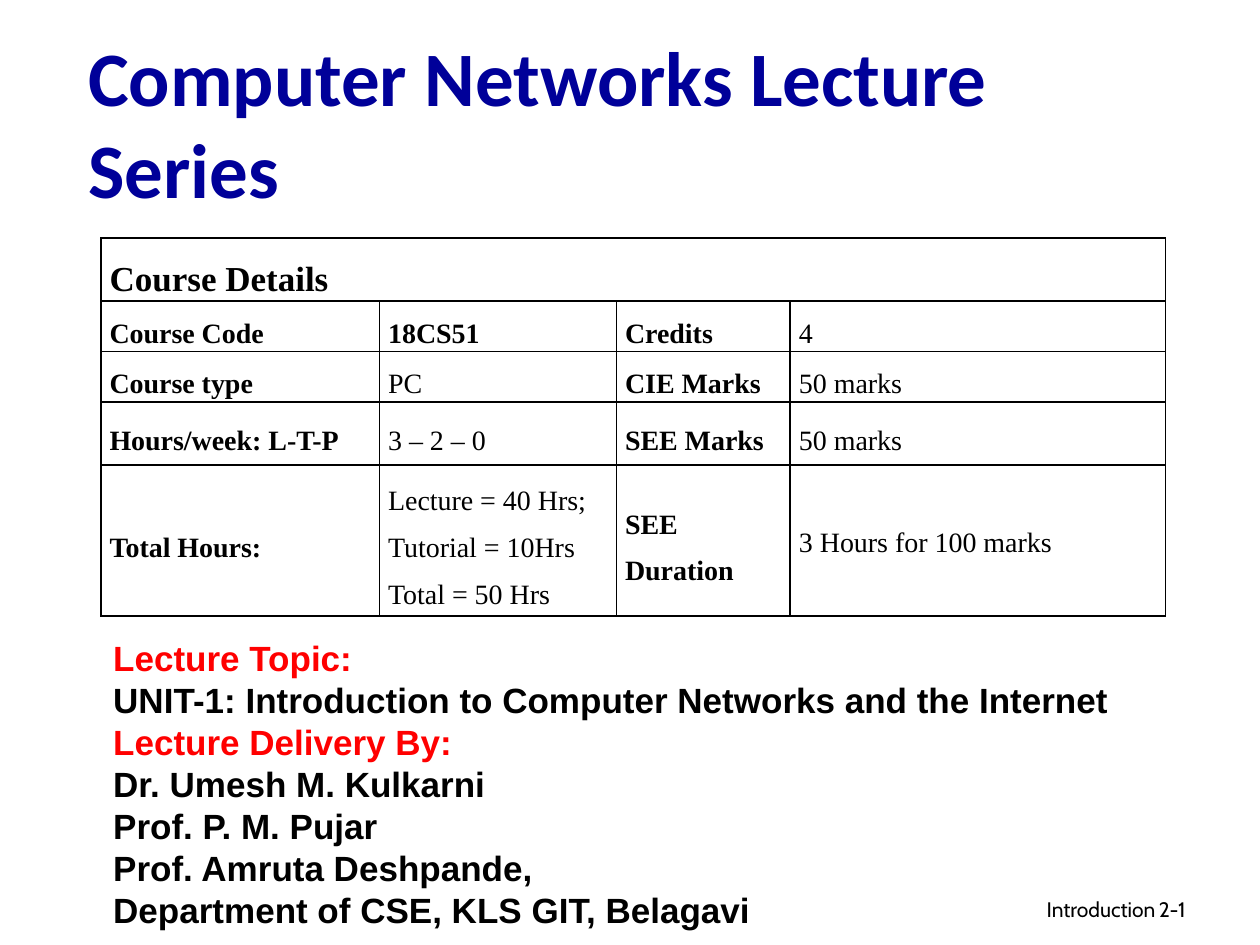
from pptx import Presentation
from pptx.dml.color import RGBColor
from pptx.enum.text import MSO_ANCHOR, MSO_AUTO_SIZE, PP_ALIGN
from pptx.oxml import parse_xml
from pptx.oxml.ns import nsdecls
from pptx.util import Pt

MIDDLE = MSO_ANCHOR.MIDDLE
NO_FIT = MSO_AUTO_SIZE.NONE
LEFT, RIGHT = PP_ALIGN.LEFT, PP_ALIGN.RIGHT
TITLE_ONLY = 5

COLORS = {"title": "000099", "text": "000000", "heading": "FF0000"}

COLUMN_WIDTHS = [159.2, 135.4, 99.4, 214.4]
ROW_HEIGHTS = [18, 18, 25.2, 36, 54]
COURSE_ROWS = [
    ["Course Code", "18CS51", "Credits", "4"],
    ["Course type", "PC", "CIE Marks", "50 marks"],
    ["Hours/week: L-T-P", "3 – 2 – 0", "SEE Marks", "50 marks"],
    ["Total Hours:", "Lecture = 40 Hrs;\nTutorial = 10Hrs\nTotal = 50 Hrs",
     "SEE Duration", "3 Hours for 100 marks"],
]
LECTURE_LINES = [
    ("Lecture Topic:", "heading"),
    ("UNIT-1: Introduction to Computer Networks and the Internet", "text"),
    ("Lecture Delivery By:", "heading"),
    ("Dr. Umesh M. Kulkarni", "text"),
    ("Prof. P. M. Pujar", "text"),
    ("Prof. Amruta Deshpande,", "text"),
    ("Department of CSE, KLS GIT, Belagavi", "text"),
]


def write_lines(frame, lines, font, size, bold=False, align=LEFT, spacing=None):
    """Write (text, colour) pairs, one paragraph each."""
    for i, (text, color) in enumerate(lines):
        paragraph = frame.add_paragraph() if i else frame.paragraphs[0]
        paragraph.alignment = align
        paragraph.line_spacing = spacing
        run = paragraph.add_run()
        run.text = text
        run.font.name = font
        run.font.size = Pt(size)
        run.font.bold = bold
        run.font.color.rgb = RGBColor.from_string(COLORS[color])


def add_title(slide, left, top, width, height):
    title = slide.shapes.title
    title.left, title.top = Pt(left), Pt(top)
    title.width, title.height = Pt(width), Pt(height)
    frame = title.text_frame
    frame.word_wrap = True
    frame.auto_size = NO_FIT
    frame.vertical_anchor = MIDDLE
    write_lines(frame, [("Computer Networks Lecture Series", "title")], "Calibri", 44, True)


def add_text(slide, left, top, width, height, lines, font, size, bold=False, align=LEFT):
    box = slide.shapes.add_textbox(Pt(left), Pt(top), Pt(width), Pt(height))
    box.text_frame.word_wrap = True
    write_lines(box.text_frame, lines, font, size, bold, align)


def add_borders(cell):
    properties = cell._tc.get_or_add_tcPr()
    for position, side in enumerate(("lnL", "lnR", "lnT", "lnB")):
        properties.insert(position, parse_xml(
            f'<a:{side} {nsdecls("a")} w="{Pt(1)}"><a:solidFill>'
            f'<a:srgbClr val="{COLORS["text"]}"/></a:solidFill></a:{side}>'))


def fill_cell(cell, text, size, bold, spacing=1.5):
    cell.margin_left = cell.margin_right = Pt(5)
    cell.margin_top = cell.margin_bottom = Pt(0)
    cell.vertical_anchor = MIDDLE
    lines = [(line, "text") for line in text.split("\n")]
    write_lines(cell.text_frame, lines, "Times New Roman", size, bold, spacing=spacing)


def add_course_table(slide, left, top, width, height):
    table = slide.shapes.add_table(
        len(ROW_HEIGHTS), len(COLUMN_WIDTHS), Pt(left), Pt(top), Pt(width), Pt(height)).table
    table.first_row = table.horz_banding = False
    for column, column_width in zip(table.columns, COLUMN_WIDTHS):
        column.width = Pt(column_width)
    for row, row_height in zip(table.rows, ROW_HEIGHTS):
        row.height = Pt(row_height)
    for cell in table.iter_cells():
        cell.fill.background()
        add_borders(cell)

    # Heading across all columns
    heading = table.cell(0, 0)
    heading.merge(table.cell(0, len(COLUMN_WIDTHS) - 1))
    fill_cell(heading, "Course Details", 20, True)

    # Labels in even columns, and the course code, are bold
    for r, values in enumerate(COURSE_ROWS, start=1):
        for c, value in enumerate(values):
            bold = c % 2 == 0 or value == "18CS51"
            spacing = 1.15 if value == "3 Hours for 100 marks" else 1.5
            fill_cell(table.cell(r, c), value, 16, bold, spacing)


def add_footer(slide, left, top, width, height):
    number_width = 53.3
    number_left = left + width - number_width
    add_text(slide, left, top, 228.2, height, [("Introduction", "text")], "Cabin", 12, align=RIGHT)
    add_text(slide, number_left, top, number_width, height, [("2-1", "text")], "Cabin", 12)


def main():
    prs = Presentation()
    prs.slide_width, prs.slide_height = Pt(720), Pt(540)
    slide = prs.slides.add_slide(prs.slide_layouts[TITLE_ONLY])
    add_title(slide, 43.2, 11.5, 612, 116)
    add_footer(slide, 439.2, 509, 269.3, 22)
    add_course_table(slide, 57.6, 136, sum(COLUMN_WIDTHS), sum(ROW_HEIGHTS))
    add_text(slide, 57.6, 360, 650, 177, LECTURE_LINES, "Arial", 20, True)
    prs.save("out.pptx")


if __name__ == "__main__":
    main()
